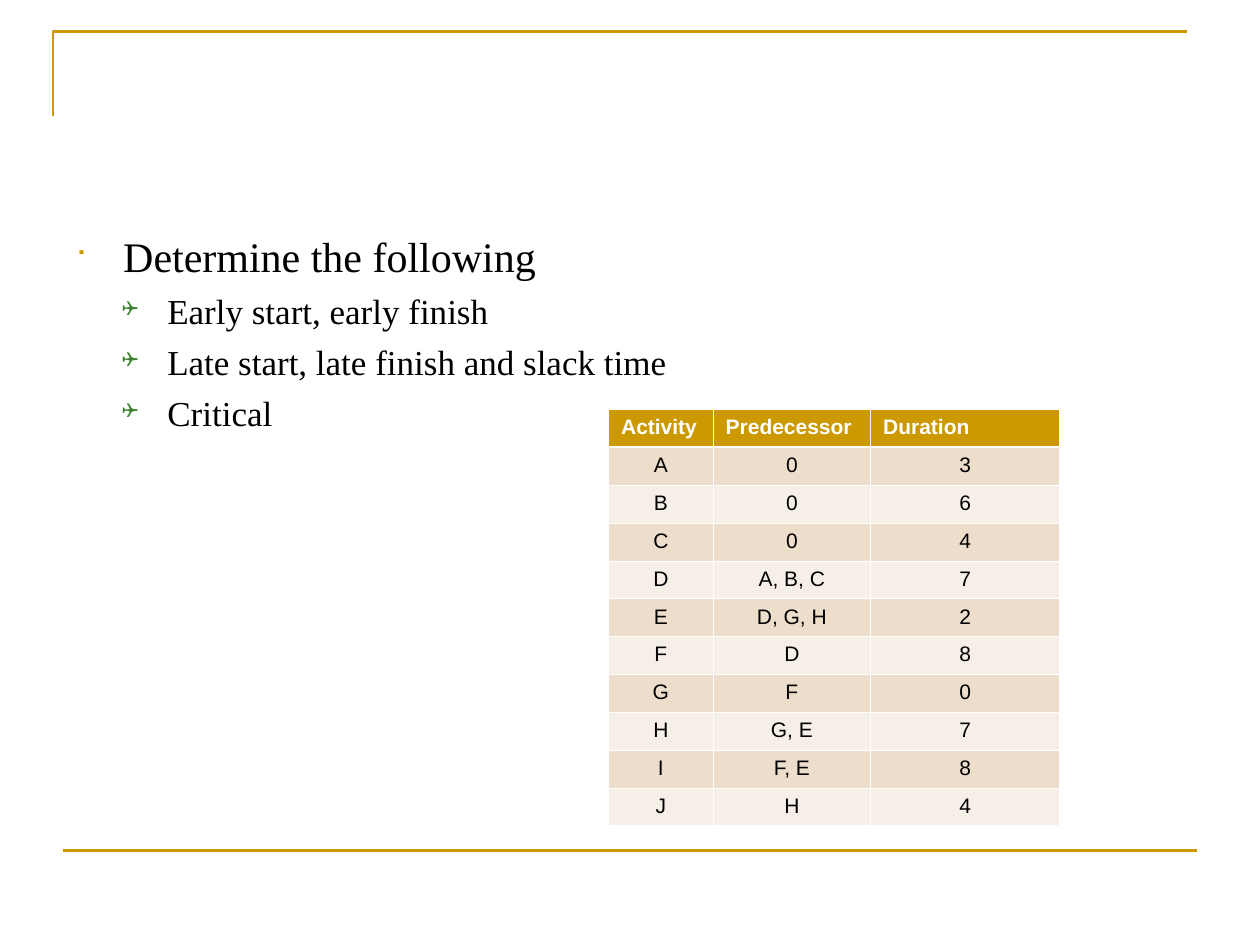
from lxml import etree
from pptx import Presentation, util as u
from pptx.dml.color import RGBColor
from pptx.enum import shapes, text
from pptx.oxml.ns import qn

WIDTH, HEIGHT = u.Inches(10), u.Inches(7.5)
COLORS = {"gold": "CC9900", "green": "3B812F", "ink": "000000",
          "white": "FFFFFF", "band_dark": "ECDECB", "band_light": "F6EFE7"}

# Outline levels: size, space before, left margin, hanging indent, bullet
LEVELS = [
    dict(size=24, before=6, margin=0.38, hang=0.38, mark="■", color="gold", scale=65),
    dict(size=20, before=5, margin=0.73, hang=0.36, mark="❑", color="green", scale=60),
]
OUTLINE = [(0, "Determine the following"),
           (1, "Early start, early finish"),
           (1, "Late start, late finish and slack time"),
           (1, "Critical")]

ACTIVITIES = [("Activity", "Predecessor", "Duration"),
              ("A", "0", "3"), ("B", "0", "6"), ("C", "0", "4"),
              ("D", "A, B, C", "7"), ("E", "D, G, H", "2"),
              ("F", "D", "8"), ("G", "F", "0"), ("H", "G, E", "7"),
              ("I", "F, E", "8"), ("J", "H", "4")]
COLUMNS, ROW = (0.83, 1.25, 1.5), 0.3


def rgb(name):
    return RGBColor.from_string(COLORS[name])


def add_run(paragraph, words, font, size, color, bold=False):
    run = paragraph.add_run()
    run.text = words
    run.font.name, run.font.size, run.font.bold = font, u.Pt(size), bold
    run.font.color.rgb = rgb(color)


def gold_line(line):
    line.color.rgb = rgb("gold")
    line.width = u.Pt(1.5)


def add_corner(slide, left, top, right, bottom):
    builder = slide.shapes.build_freeform(u.Inches(left), u.Inches(bottom))
    builder.add_line_segments([(u.Inches(left), u.Inches(top)),
                               (u.Inches(right), u.Inches(top))], close=False)
    corner = builder.convert_to_shape()
    corner.shadow.inherit = False
    corner.fill.background()
    gold_line(corner.line)


def add_rule(slide, left, right, y):
    rule = slide.shapes.add_connector(shapes.MSO_CONNECTOR.STRAIGHT, left, y, right, y)
    gold_line(rule.line)
    etree.SubElement(rule._element.spPr, qn("a:effectLst"))


def set_bullet(paragraph, level):
    props = paragraph._p.get_or_add_pPr()
    props.set("marL", str(u.Inches(level["margin"])))
    props.set("indent", str(-u.Inches(level["hang"])))
    color = etree.SubElement(props, qn("a:buClr"))
    etree.SubElement(color, qn("a:srgbClr"), val=COLORS[level["color"]])
    etree.SubElement(props, qn("a:buSzPct"), val=str(level["scale"] * 1000))
    etree.SubElement(props, qn("a:buFont"), typeface="Wingdings")
    etree.SubElement(props, qn("a:buChar"), char=level["mark"])


def add_outline(slide, left, top, width, height):
    frame = slide.shapes.add_textbox(left, top, width, height).text_frame
    frame.word_wrap = True
    frame.margin_top = 0
    for index, (depth, words) in enumerate(OUTLINE):
        level = LEVELS[depth]
        item = frame.paragraphs[0] if index == 0 else frame.add_paragraph()
        item.level = depth
        item.alignment = text.PP_ALIGN.JUSTIFY
        item.space_before = u.Pt(level["before"] if index else 0)
        set_bullet(item, level)
        add_run(item, words, "Times New Roman", level["size"], "ink")


def set_borders(cell, row):
    props = cell._tc.get_or_add_tcPr()
    heavy = {0: "lnB", 1: "lnT"}.get(row)
    # Borders come before the fill in a cell's properties
    for place, side in enumerate(("lnL", "lnR", "lnT", "lnB")):
        points = 1.47 if side == heavy else 0.45
        border = etree.Element(qn("a:" + side), w=str(u.Pt(points)))
        fill = etree.SubElement(border, qn("a:solidFill"))
        etree.SubElement(fill, qn("a:srgbClr"), val=COLORS["white"])
        props.insert(place, border)


def add_activities(slide, left, top):
    table = slide.shapes.add_table(
        len(ACTIVITIES), len(COLUMNS), left, top,
        u.Inches(sum(COLUMNS)), u.Inches(ROW * len(ACTIVITIES))).table
    for column, width in zip(table.columns, COLUMNS):
        column.width = u.Inches(width)
    for r, values in enumerate(ACTIVITIES):
        table.rows[r].height = u.Inches(ROW)
        header = r == 0
        band = "gold" if header else ("band_light", "band_dark")[r % 2]
        for c, value in enumerate(values):
            cell = table.cell(r, c)
            cell.fill.solid()
            cell.fill.fore_color.rgb = rgb(band)
            set_borders(cell, r)
            entry = cell.text_frame.paragraphs[0]
            entry.alignment = text.PP_ALIGN.LEFT if header else text.PP_ALIGN.CENTER
            add_run(entry, value, "Arial", 12, "white" if header else "ink", header)


def main():
    deck = Presentation()
    deck.slide_width, deck.slide_height = WIDTH, HEIGHT
    slide = deck.slides.add_slide(deck.slide_layouts[6])

    # Frame lines
    add_corner(slide, 0.42, 0.25, 9.42, 0.92)
    add_rule(slide, int(WIDTH * 0.05), int(WIDTH * 0.95), int(HEIGHT * 0.9))

    # Task outline and activity table
    add_outline(slide, int(WIDTH * 0.05), u.Inches(1.83), int(WIDTH * 0.9), u.Inches(4.37))
    add_activities(slide, u.Inches(4.83), u.Inches(3.25))

    deck.save("out.pptx")


main()
